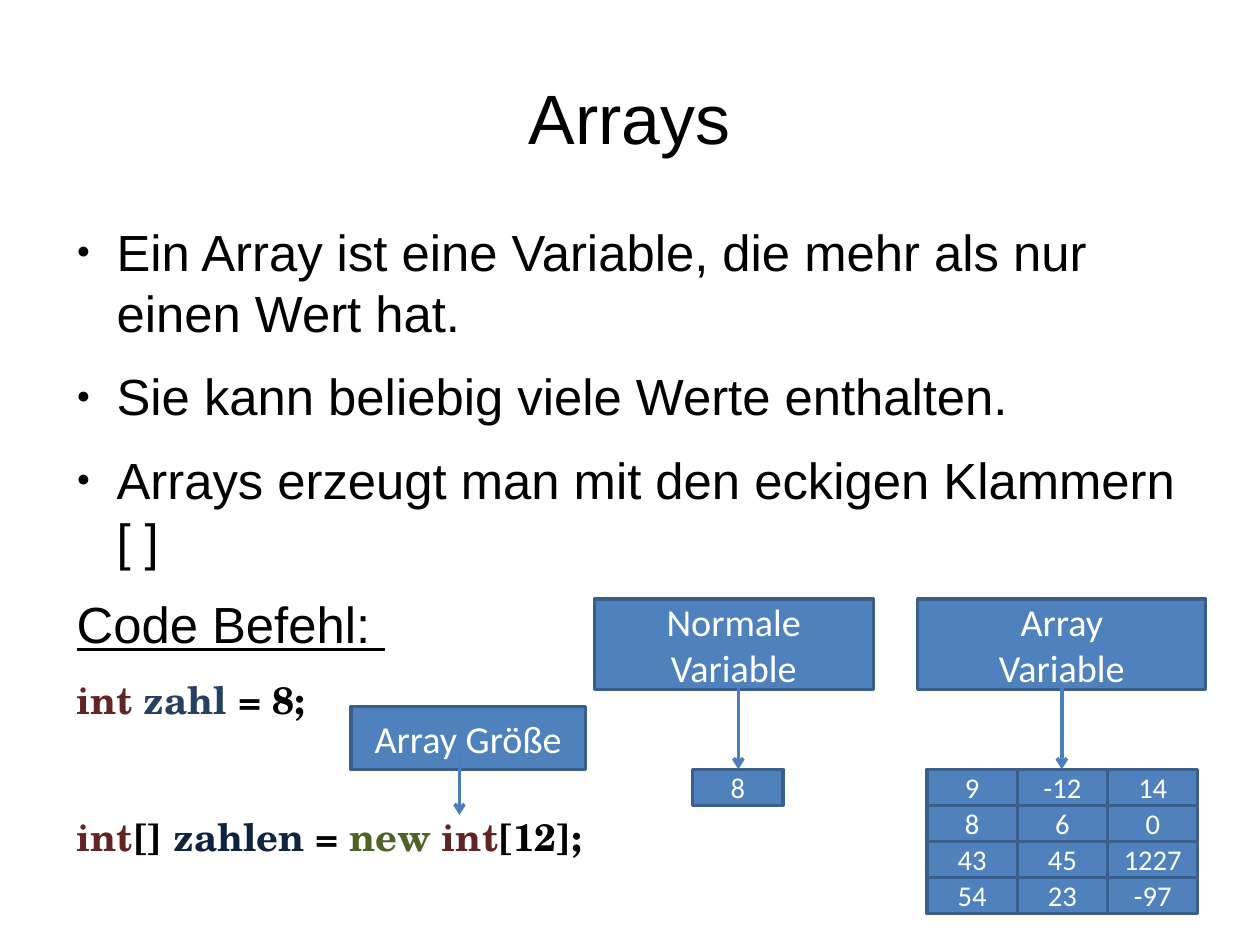
from dataclasses import dataclass

from lxml.etree import SubElement
from pptx import Presentation
from pptx.dml.color import RGBColor
from pptx.enum.shapes import MSO_CONNECTOR, MSO_SHAPE
from pptx.enum.text import MSO_ANCHOR, MSO_AUTO_SIZE, PP_ALIGN
from pptx.oxml.ns import qn
from pptx.util import Inches, Pt


@dataclass(frozen=True)
class Theme:
    text_font: str = "Arial"
    code_font: str = "TeX Gyre Schola"
    box_font: str = "Calibri"
    black: str = "000000"
    white: str = "FFFFFF"
    keyword: str = "632523"
    variable: str = "254061"
    array: str = "0F243E"
    operator: str = "4F6228"
    box_fill: str = "4F81BD"
    box_line: str = "3A5F8C"
    arrow: str = "4B7EBC"
    title_size: float = 44
    body_size: float = 32
    code_size: float = 24
    label_size: float = 24
    cell_size: float = 18
    gap: float = 14.2
    code_gap: float = 57.2


THEME = Theme()

# 28 by 21 centimetres
PAGE_WIDTH, PAGE_HEIGHT = Inches(28 / 2.54), Inches(21 / 2.54)

TITLE = "Arrays"
BULLETS = [
    "Ein Array ist eine Variable, die mehr als nur einen Wert hat.",
    "Sie kann beliebig viele Werte enthalten.",
    "Arrays erzeugt man mit den eckigen Klammern \v[ ]",
]
CODE_HEADING = "Code Befehl: "
CODE_LINES = [
    (THEME.gap, [("int", THEME.keyword), (" ", THEME.black),
                 ("zahl", THEME.variable), (" = 8;", THEME.black)]),
    (THEME.code_gap, [("int", THEME.keyword), ("[] ", THEME.black),
                      ("zahlen", THEME.array), (" = ", THEME.black),
                      ("new", THEME.operator), (" ", THEME.black),
                      ("int", THEME.keyword), ("[12];", THEME.black)]),
]
# Text lines, left, top, width, height
LABELS = [
    (["Normale Variable"], 5.2, 5.24, 2.44, 0.79),
    (["Array", "Variable"], 8.03, 5.24, 2.52, 0.79),
    (["Array Größe"], 3.07, 6.18, 2.05, 0.55),
]
# Centre, top, bottom
ARROWS = [(6.46, 6.02, 6.73), (9.29, 6.02, 6.73), (4.02, 6.57, 7.13)]
# Left edge and rows of values
VALUE_GRIDS = [
    (6.06, [["8"]]),
    (8.11, [["9", "-12", "14"], ["8", "6", "0"],
            ["43", "45", "1227"], ["54", "23", "-97"]]),
]
GRID_TOP, GRID_BOTTOM, GRID_ROWS = 6.73, 7.99, 4
CELL_WIDTH = 0.79
CELL_HEIGHT = (GRID_BOTTOM - GRID_TOP) / GRID_ROWS


def color(value):
    return RGBColor.from_string(value)


def place(shape, left, top, width, height):
    shape.left, shape.top = Inches(left), Inches(top)
    shape.width, shape.height = Inches(width), Inches(height)


def prepare_frame(frame, anchor, margin=None):
    frame.word_wrap = True
    frame.auto_size = MSO_AUTO_SIZE.NONE
    frame.vertical_anchor = anchor
    if margin is not None:
        frame.margin_left = frame.margin_right = Inches(margin)
        frame.margin_top = frame.margin_bottom = Inches(margin)


def next_para(frame):
    """Return the unused first paragraph, or add one."""
    first = frame.paragraphs[0]
    return frame.add_paragraph() if first.runs else first


def add_text(para, text, *, font=THEME.text_font, size=THEME.body_size,
             ink=THEME.black, bold=False, underline=False):
    for index, piece in enumerate(text.split("\v")):
        if index:
            para.add_line_break()
        span = para.add_run()
        span.text = piece
        span.font.name, span.font.size = font, Pt(size)
        span.font.bold, span.font.underline = bold, underline
        span.font.color.rgb = color(ink)


def body_para(frame, gap, bullet=False):
    para = next_para(frame)
    properties = para._p.get_or_add_pPr()
    properties.set("marL", str(Inches(0.47)))
    properties.set("indent", str(Inches(-0.35)))
    if bullet:
        SubElement(properties, qn("a:buSzPct")).set("val", "45000")
        SubElement(properties, qn("a:buFont")).set("typeface", THEME.text_font)
        SubElement(properties, qn("a:buChar")).set("char", "●")
    else:
        SubElement(properties, qn("a:buNone"))
    para.alignment = PP_ALIGN.LEFT
    para.space_before = Pt(gap)
    para.space_after = Pt(0)
    return para


def add_box(page, lines, left, top, width, height, size):
    box = page.shapes.add_shape(MSO_SHAPE.RECTANGLE, Inches(left), Inches(top),
                                Inches(width), Inches(height))
    box.shadow.inherit = False
    box.fill.solid()
    box.fill.fore_color.rgb = color(THEME.box_fill)
    box.line.color.rgb = color(THEME.box_line)
    box.line.width = Pt(2)
    prepare_frame(box.text_frame, MSO_ANCHOR.MIDDLE)
    for line in lines:
        para = next_para(box.text_frame)
        para.alignment = PP_ALIGN.CENTER
        add_text(para, line, font=THEME.box_font, size=size, ink=THEME.white)


def add_arrow(page, center, top, bottom):
    arrow = page.shapes.add_connector(MSO_CONNECTOR.STRAIGHT, Inches(center), Inches(top),
                                      Inches(center), Inches(bottom))
    arrow.line.color.rgb = color(THEME.arrow)
    arrow.line.width = Pt(2.25)
    SubElement(arrow.line._get_or_add_ln(), qn("a:tailEnd")).set("type", "arrow")
    SubElement(arrow._element.spPr, qn("a:effectLst"))


def fill_title(title):
    place(title, 0.55, 0.33, 9.92, 1.38)
    prepare_frame(title.text_frame, MSO_ANCHOR.MIDDLE, margin=0)
    para = title.text_frame.paragraphs[0]
    para.alignment = PP_ALIGN.CENTER
    add_text(para, TITLE, size=THEME.title_size)


def fill_body(body):
    place(body, 0.55, 1.93, 10.08, 5.91)
    frame = body.text_frame
    prepare_frame(frame, MSO_ANCHOR.TOP, margin=0)
    for index, text in enumerate(BULLETS):
        gap = THEME.gap if index else 0
        add_text(body_para(frame, gap, bullet=True), text)
    add_text(body_para(frame, THEME.gap), CODE_HEADING, underline=True)
    for gap, spans in CODE_LINES:
        para = body_para(frame, gap)
        for text, ink in spans:
            add_text(para, text, font=THEME.code_font, size=THEME.code_size,
                     ink=ink, bold=True)


def main():
    deck = Presentation()
    deck.slide_width, deck.slide_height = PAGE_WIDTH, PAGE_HEIGHT
    page = deck.slides.add_slide(deck.slide_layouts[1])
    fill_title(page.shapes.title)
    fill_body(page.placeholders[1])
    for lines, *bounds in LABELS:
        add_box(page, lines, *bounds, size=THEME.label_size)
    for left, rows in VALUE_GRIDS:
        for row, values in enumerate(rows):
            for column, value in enumerate(values):
                add_box(page, [value], left + column * CELL_WIDTH,
                        GRID_TOP + row * CELL_HEIGHT, CELL_WIDTH, CELL_HEIGHT,
                        size=THEME.cell_size)
    for arrow in ARROWS:
        add_arrow(page, *arrow)
    deck.save("out.pptx")


if __name__ == "__main__":
    main()
